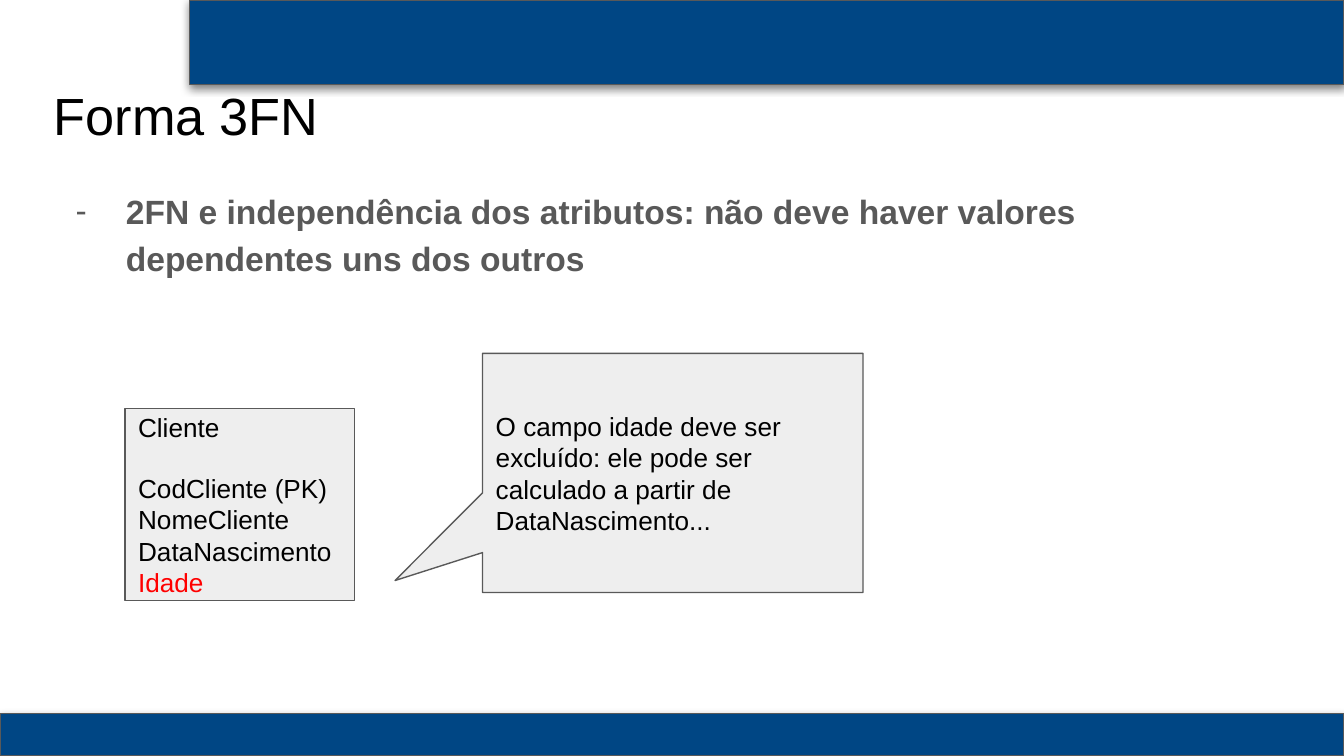
"""Build the slide about the third normal form."""
from dataclasses import dataclass

from lxml import etree
from pptx import Presentation
from pptx.dml.color import RGBColor
from pptx.enum.shapes import MSO_SHAPE
from pptx.enum.text import MSO_ANCHOR, PP_ALIGN
from pptx.oxml.ns import qn
from pptx.util import Cm, Pt

RECT = MSO_SHAPE.RECTANGLE
CALLOUT = MSO_SHAPE.ROUNDED_RECTANGULAR_CALLOUT
TOP, MIDDLE = MSO_ANCHOR.TOP, MSO_ANCHOR.MIDDLE
LEFT = PP_ALIGN.LEFT
FONT = "Arial"
COLORS = {"blue": "004684", "grey": "595959", "pale": "EEEEEE",
          "black": "000000", "red": "FF0000"}
WIDTH, HEIGHT = 25.4, 14.29


@dataclass
class Box:
    """Position and size in centimetres."""
    left: float
    top: float
    width: float
    height: float

    def lengths(self) -> list:
        """Return the four values as lengths."""
        return [Cm(v) for v in (self.left, self.top, self.width, self.height)]


def rgb(name: str) -> RGBColor:
    """Return a named colour."""
    return RGBColor.from_string(COLORS[name])


def add_panel(s, box: Box, fill: str, kind=RECT):
    """Add a filled shape with a thin grey outline."""
    sp = s.shapes.add_shape(kind, *box.lengths())
    sp.shadow.inherit = False
    sp.fill.solid()
    sp.fill.fore_color.rgb = rgb(fill)
    sp.line.color.rgb = rgb("grey")
    sp.line.width = Pt(0.75)
    return sp


def add_shadow(sp) -> None:
    """Give a shape a soft shadow falling downwards."""
    effects = sp.element.spPr.find(qn("a:effectLst"))
    shadow = etree.SubElement(effects, qn("a:outerShdw"), blurRad=str(Pt(4.5)),
                              dist=str(Pt(1.5)), dir="5400000", algn="bl",
                              rotWithShape="0")
    color = etree.SubElement(shadow, qn("a:srgbClr"), val=COLORS["black"])
    etree.SubElement(color, qn("a:alpha"), val="49000")


def add_bullet(p, char: str, color: str) -> None:
    """Give a paragraph a hanging bullet."""
    pPr = p._p.get_or_add_pPr()
    pPr.set("marL", str(Cm(1.27)))
    pPr.set("indent", str(-Cm(0.95)))
    bu_color = etree.SubElement(pPr, qn("a:buClr"))
    etree.SubElement(bu_color, qn("a:srgbClr"), val=COLORS[color])
    etree.SubElement(pPr, qn("a:buFont"), typeface=FONT)
    etree.SubElement(pPr, qn("a:buChar"), char=char)


def write(sp, text: str, *, size: float = 14, color: str = "black",
          bold: bool = False, anchor=MIDDLE, spacing: float = 1,
          after: float = 0, more: bool = False):
    """Write one paragraph into a shape, after the others if more is set."""
    tf = sp.text_frame
    tf.word_wrap = True
    tf.vertical_anchor = anchor
    tf.margin_left = tf.margin_right = tf.margin_top = tf.margin_bottom = Cm(0.25)
    p = tf.add_paragraph() if more else tf.paragraphs[0]
    p.alignment = LEFT
    p.line_spacing = spacing
    p.space_after = Pt(after)
    r = p.add_run()
    r.text = text
    r.font.name = FONT
    r.font.size = Pt(size)
    r.font.bold = bold
    r.font.color.rgb = rgb(color)
    return p


def main() -> None:
    """Build and save the slide."""
    prs = Presentation()
    prs.slide_width, prs.slide_height = Cm(WIDTH), Cm(HEIGHT)
    s = prs.slides.add_slide(prs.slide_layouts[6])

    for band in (Box(0, 13.49, WIDTH, 0.8), Box(3.58, 0, 21.82, 1.6)):
        add_shadow(add_panel(s, band, "blue"))

    title = s.shapes.add_textbox(*Box(0.77, 1.33, 23.98, 1.6).lengths())
    write(title, "Forma 3FN", size=28, anchor=TOP)

    body = s.shapes.add_textbox(*Box(0.86, 3.25, 23.22, 3.07).lengths())
    p = write(body, "2FN e independência dos atributos: não deve haver valores "
              "dependentes uns dos outros", size=18, color="grey", bold=True,
              anchor=TOP, spacing=1.15)
    add_bullet(p, "-", "grey")

    entity = add_panel(s, Box(2.36, 7.72, 4.34, 3.63), "pale")
    write(entity, "Cliente", after=16)
    for field in ("CodCliente (PK)", "NomeCliente", "DataNascimento"):
        write(entity, field, more=True)
    write(entity, "Idade", color="red", more=True)

    note = add_panel(s, Box(9.12, 6.68, 7.19, 4.52), "pale", CALLOUT)
    for i, value in enumerate((-0.73, 0.45, 0)):
        note.adjustments[i] = value
    write(note, "O campo idade deve ser excluído: ele pode ser calculado "
          "a partir de DataNascimento...")

    prs.save("out.pptx")


if __name__ == "__main__":
    main()
